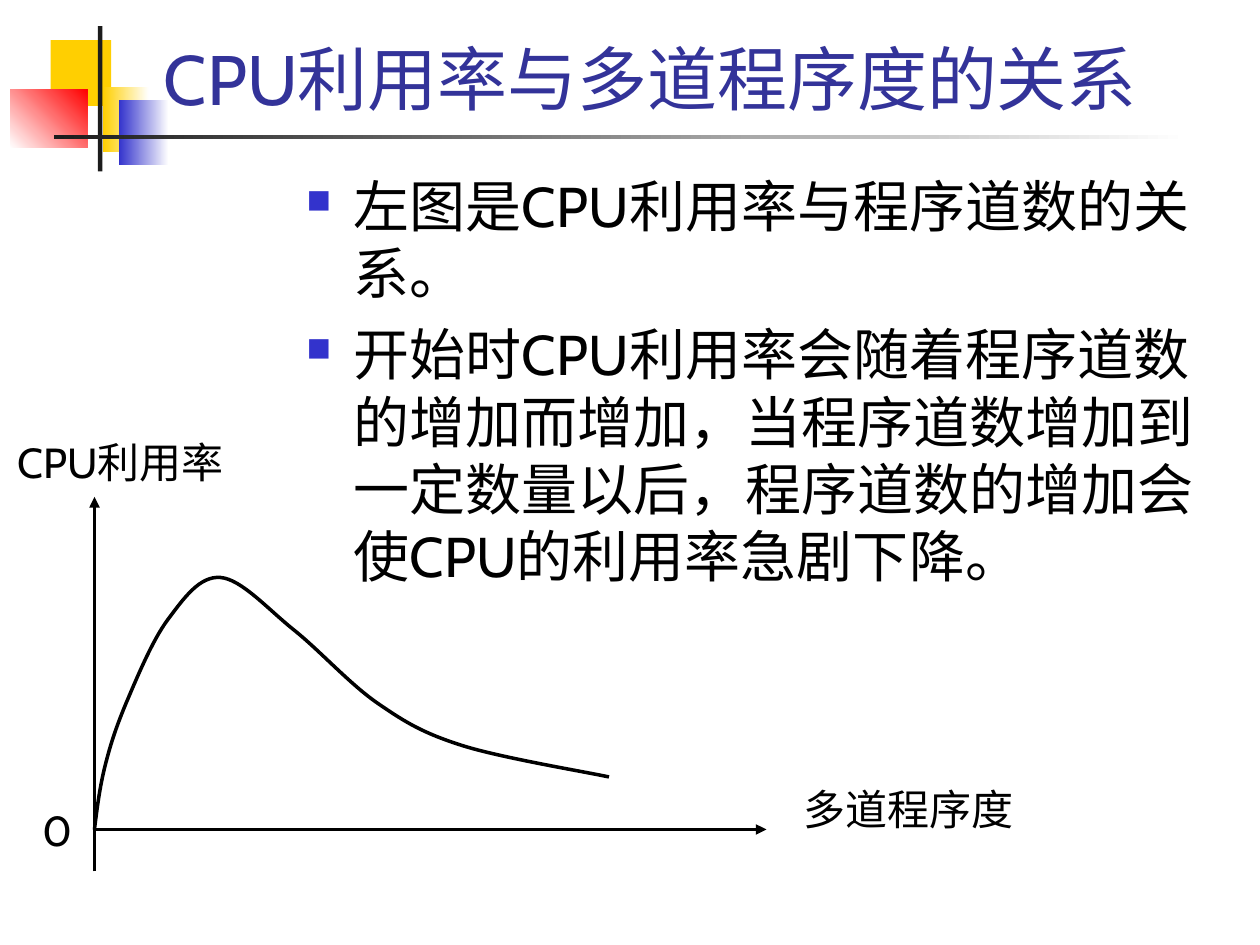
import pptx
import pptx.util
import pptx.dml.color
import pptx.enum.shapes
import pptx.enum.text
import pptx.oxml
import pptx.oxml.ns
from lxml import etree

Pt = pptx.util.Pt
qn = pptx.oxml.ns.qn
ALIGN = pptx.enum.text.PP_ALIGN
ANCHOR = pptx.enum.text.MSO_ANCHOR

FONT = "Cabin"
COLORS = {"yellow": "FFCF01", "blue": "3333CC", "red": "FF0000", "white": "FFFFFF",
          "charcoal": "1C1C1C", "title": "333399", "black": "000000"}


def rgb(name):
    return pptx.dml.color.RGBColor.from_string(COLORS[name])


def set_all(target, values):
    for attribute, value in values.items():
        setattr(target, attribute, value)


def format_frame(frame, inset_x, inset_y, anchor, wrap):
    set_all(frame, {
        "margin_left": Pt(inset_x), "margin_right": Pt(inset_x),
        "margin_top": Pt(inset_y), "margin_bottom": Pt(inset_y),
        "vertical_anchor": anchor, "word_wrap": wrap,
        "auto_size": pptx.enum.text.MSO_AUTO_SIZE.NONE})


def write(paragraph, text, size, color, align):
    paragraph.text = text
    paragraph.alignment = align
    set_all(paragraph.font, {"name": FONT, "size": Pt(size)})
    paragraph.font.color.rgb = rgb(color)


def add_ornament(slide, left, top):
    """Coloured squares and the crossing rules behind the title."""
    # left, top, width, height, first colour, last colour, gradient angle
    parts = [
        (23, 8, 34.5, 37.5, "yellow", None, 0),
        (53, 34.5, 26, 37.5, "yellow", "white", 0),
        (62, 42, 28.5, 37.5, "blue", "white", 0),
        (0, 36, 44, 33.5, "white", "red", 45),
        (50, 0, 2.5, 83, "charcoal", None, 0),
        (25, 62, 648, 2.25, "charcoal", "white", 0),
    ]
    for x, y, width, height, first, last, angle in parts:
        block = slide.shapes.add_shape(
            pptx.enum.shapes.MSO_SHAPE.RECTANGLE,
            Pt(left + x), Pt(top + y), Pt(width), Pt(height))
        block.shadow.inherit = False
        block.line.fill.background()
        if last is None:
            block.fill.solid()
            block.fill.fore_color.rgb = rgb(first)
        else:
            block.fill.gradient()
            block.fill.gradient_angle = angle
            for stop, color in zip(block.fill.gradient_stops, (first, last)):
                stop.color.rgb = rgb(color)


def place_title(slide, left, top, width, height):
    title = slide.shapes.title
    slide.shapes._spTree.append(title._element)  # in front of the ornament
    set_all(title, {"left": Pt(left), "top": Pt(top),
                    "width": Pt(width), "height": Pt(height)})
    format_frame(title.text_frame, 7.2, 3.6, ANCHOR.BOTTOM, True)
    write(title.text_frame.paragraphs[0], "CPU利用率与多道程序度的关系",
          40, "title", ALIGN.LEFT)


def add_bullet(paragraph):
    properties = paragraph._p.get_or_add_pPr()
    properties.set("marL", str(Pt(27)))
    properties.set("indent", str(Pt(-27)))
    bullet_color = etree.SubElement(properties, qn("a:buClr"))
    etree.SubElement(bullet_color, qn("a:srgbClr"), val=COLORS["blue"])
    etree.SubElement(properties, qn("a:buSzPct"), val="60000")
    etree.SubElement(properties, qn("a:buChar"), char="■")


def add_explanation(slide, left, top, width, height):
    frame = slide.shapes.add_textbox(
        Pt(left), Pt(top), Pt(width), Pt(height)).text_frame
    format_frame(frame, 7.2, 3.6, ANCHOR.TOP, True)
    points = [
        "左图是CPU利用率与程序道数的关系。",
        "开始时CPU利用率会随着程序道数的增加而增加，当程序道数增加到"
        "一定数量以后，程序道数的增加会使CPU的利用率急剧下降。",
    ]
    for index, point in enumerate(points):
        paragraph = frame.add_paragraph() if index else frame.paragraphs[0]
        add_bullet(paragraph)
        write(paragraph, point, 32, "black", ALIGN.LEFT)
        if index:
            paragraph.space_before = Pt(8)


def style_line(line):
    line.width = Pt(2)
    line.color.rgb = rgb("black")


def add_axis(shapes, x1, y1, x2, y2):
    axis = shapes.add_connector(pptx.enum.shapes.MSO_CONNECTOR.STRAIGHT,
                                Pt(x1), Pt(y1), Pt(x2), Pt(y2))
    style_line(axis.line)
    etree.SubElement(axis.line._get_or_add_ln(), qn("a:tailEnd"), type="triangle")
    etree.SubElement(axis._element.spPr, qn("a:effectLst"))


def add_curve(shapes, x0, y0):
    # Bezier points from the origin of the axes, three to a segment
    bends = [
        (1.5, -12), (3, -24), (6, -36),
        (9, -48), (12, -57.5), (18, -72),
        (24, -86), (33, -108), (42, -120),
        (51, -132), (60, -145), (72, -144),
        (84, -143), (99, -126), (114, -114),
        (129, -102), (146, -83), (162, -72),
        (178, -61), (188, -55), (210, -48),
        (232, -41), (280, -33), (294, -30),
    ]
    builder = shapes.build_freeform(Pt(x0), Pt(y0))
    builder.add_line_segments([(Pt(x0 + x), Pt(y0 + y)) for x, y in bends], close=False)
    curve = builder.convert_to_shape()
    segments = list(curve._element.iter(qn("a:lnTo")))
    for start in range(0, len(segments), 3):
        bezier = etree.Element(qn("a:cubicBezTo"))
        segments[start].addprevious(bezier)
        for segment in segments[start:start + 3]:
            bezier.append(segment[0])
            segment.getparent().remove(segment)
    curve.shadow.inherit = False
    curve.fill.background()
    style_line(curve.line)


def add_diagram(slide, left, top, width, height):
    """CPU utilisation against the degree of multiprogramming."""
    shapes = slide.shapes.add_group_shape().shapes
    x0, y0 = left + 42, top + height - 24
    add_axis(shapes, x0, y0, x0 + 384, y0)
    add_axis(shapes, x0, top + height, x0, top + 32)
    add_curve(shapes, x0, y0)
    labels = [
        ("0", left + 6, y0 - 12, 30),
        ("CPU利用率", left, top, 114),
        ("多道程序度", left + width - 114, y0 - 24, 114),
    ]
    for text, x, y, label_width in labels:
        frame = shapes.add_textbox(Pt(x), Pt(y), Pt(label_width), Pt(24)).text_frame
        format_frame(frame, 0, 0, ANCHOR.MIDDLE, False)
        write(frame.paragraphs[0], text, 24, "black", ALIGN.CENTER)


def main():
    presentation = pptx.Presentation()
    set_all(presentation, {"slide_width": Pt(720), "slide_height": Pt(540)})
    slide = presentation.slides.add_slide(presentation.slide_layouts[5])
    add_ornament(slide, 6, 15)
    place_title(slide, 86.5, 12, 613.5, 60)
    add_explanation(slide, 168, 94.5, 540, 258)
    add_diagram(slide, 12, 252, 564, 246)
    presentation.save("out.pptx")


if __name__ == "__main__":
    main()
